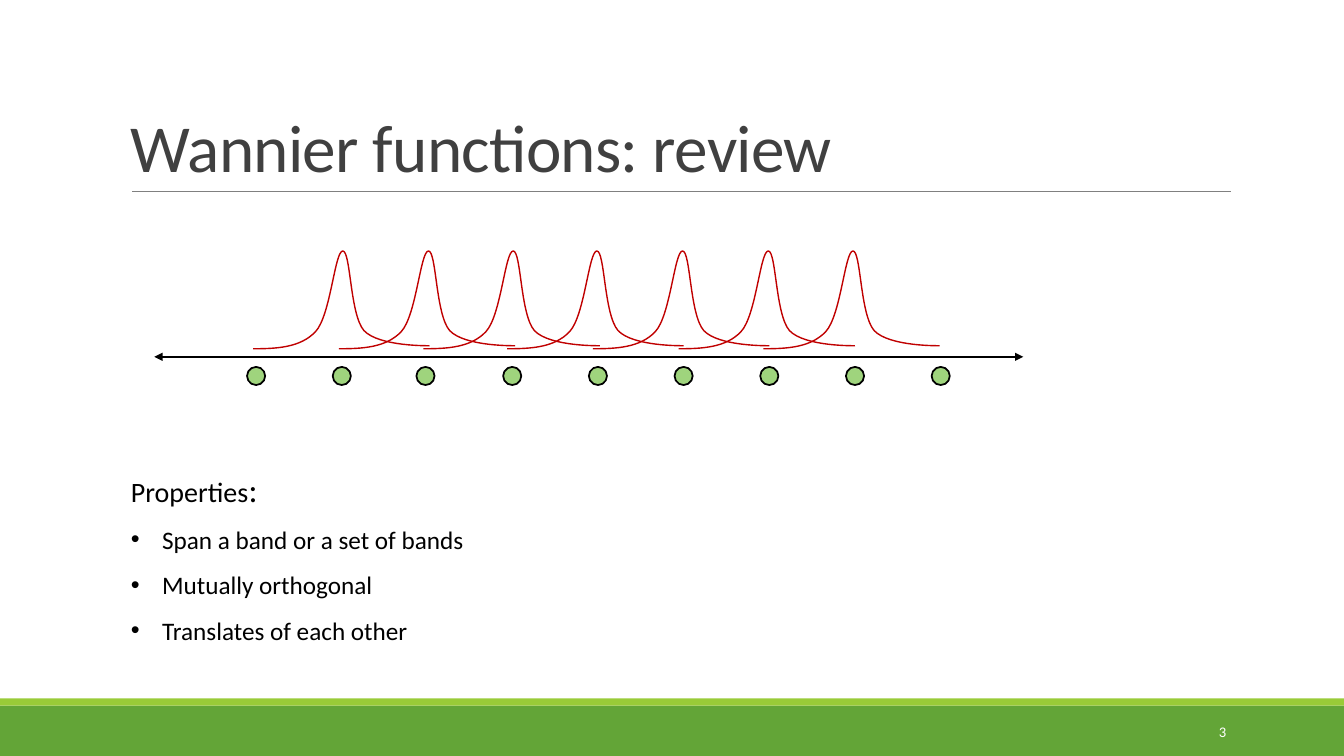
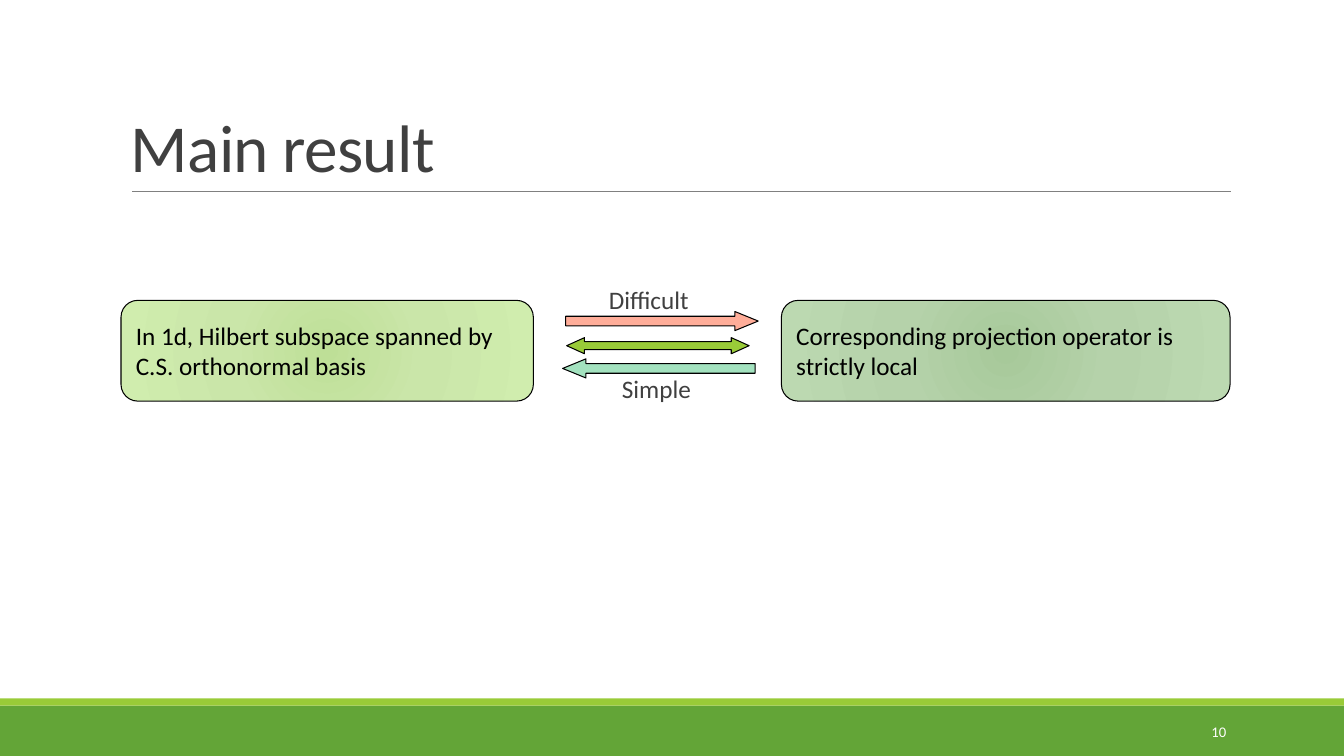
"""Build two slides on Wannier functions and strictly local projectors."""
import dataclasses

import lxml.etree
import pptx
import pptx.dml.color
import pptx.enum.shapes
import pptx.enum.text
import pptx.oxml.ns
import pptx.util

Inches = pptx.util.Inches
Pt = pptx.util.Pt
RGBColor = pptx.dml.color.RGBColor
SHAPE = pptx.enum.shapes.MSO_SHAPE
ANCHOR = pptx.enum.text.MSO_ANCHOR
ALIGN = pptx.enum.text.PP_ALIGN
qn = pptx.oxml.ns.qn

FONT = "Calibri"
BLACK = RGBColor(0x00, 0x00, 0x00)
WHITE = RGBColor(0xFF, 0xFF, 0xFF)
CHARCOAL = RGBColor(0x40, 0x40, 0x40)
GRAY = RGBColor(0x80, 0x80, 0x80)
GREEN = RGBColor(0x63, 0xA5, 0x37)
LIME = RGBColor(0x99, 0xCB, 0x38)
SITE_GREEN = RGBColor(0x9F, 0xD4, 0x7D)
CURVE_RED = RGBColor(0xC0, 0x00, 0x00)
ARROW_RED = RGBColor(0xFF, 0x33, 0x00)
ARROW_GREEN = RGBColor(0x00, 0xB0, 0x50)
BASIS_STOPS = {0: RGBColor(0xBE, 0xDF, 0x97), 45: RGBColor(0xCA, 0xE6, 0xA9),
               100: RGBColor(0xD0, 0xED, 0xAE)}
PROJECTOR_STOPS = {0: RGBColor(0xA7, 0xC9, 0x9A), 45: RGBColor(0xB5, 0xD2, 0xAA),
                   100: RGBColor(0xBC, 0xD9, 0xB1)}

SITE_OFFSETS = (0.92, 1.77, 2.6, 3.46, 4.31, 5.16, 6.01, 6.86, 7.71)
WANNIER_OFFSETS = (0.98, 1.83, 2.67, 3.5, 4.35, 5.2, 6.04)
WANNIER_POINTS = [
    (0, 0.97),
    (0.23, 0.97), (0.47, 0.96), (0.62, 0.8),
    (0.77, 0.64), (0.81, 0), (0.89, 0),
    (0.97, 0), (0.96, 0.63), (1.1, 0.79),
    (1.25, 0.95), (1.75, 0.94), (1.75, 0.94),
]


@dataclasses.dataclass
class Box:
    """A rectangle in inches."""
    left: float
    top: float
    width: float
    height: float

    def lengths(self):
        """Return left, top, width and height as lengths."""
        return [Inches(value) for value in dataclasses.astuple(self)]

    def inner(self, left, top, width, height):
        """Return a box placed relative to this one."""
        return Box(self.left + left, self.top + top, width, height)


def set_values(target, values):
    """Set each named attribute of the target."""
    for name, value in values.items():
        setattr(target, name, value)


def add_child(parent, tag, **attributes):
    """Append a drawing element with attributes."""
    child = lxml.etree.SubElement(parent, qn(tag))
    for name, value in attributes.items():
        child.set(name, str(value))
    return child


def write(para, text, size, color):
    """Add one run of text to a paragraph."""
    span = para.add_run()
    span.text = text
    set_values(span.font, {"name": FONT, "size": Pt(size)})
    span.font.color.rgb = color


def add_text(page, box, text, size, color, anchor=ANCHOR.TOP, **para_values):
    """Add a wrapping text box with one paragraph."""
    label = page.shapes.add_textbox(*box.lengths())
    set_values(label.text_frame, {"word_wrap": True, "vertical_anchor": anchor})
    para = label.text_frame.paragraphs[0]
    set_values(para, para_values)
    write(para, text, size, color)
    return label


def set_outline(line, color, width):
    """Give a line its colour and width in points."""
    line.color.rgb = color
    line.width = Pt(width)


def add_block(page, kind, box, fill, line_width=None, adjustments=()):
    """Add a filled preset shape, outlined in black when a width is given."""
    block = page.shapes.add_shape(kind, *box.lengths())
    block.shadow.inherit = False
    block.fill.solid()
    block.fill.fore_color.rgb = fill
    if line_width:
        set_outline(block.line, BLACK, line_width)
    else:
        block.line.fill.background()
    for index, value in enumerate(adjustments):
        block.adjustments[index] = value
    return block


def add_rule(page, left, right, top, color, width, arrows=False):
    """Add a horizontal line, with arrowheads at both ends if asked."""
    rule = page.shapes.add_connector(
        pptx.enum.shapes.MSO_CONNECTOR.STRAIGHT,
        Inches(left), Inches(top), Inches(right), Inches(top))
    set_outline(rule.line, color, width)
    if arrows:
        outline = rule.element.spPr.find(qn("a:ln"))
        for end in ("a:headEnd", "a:tailEnd"):
            add_child(outline, end, type="triangle")
    add_child(rule.element.spPr, "a:effectLst")


def add_frame(deck, title, number):
    """Add a page with the shared bands, title, rule and number."""
    page = deck.slides.add_slide(deck.slide_layouts[6])
    add_block(page, SHAPE.RECTANGLE, Box(0, 7, 13.33, 0.5), GREEN)
    add_block(page, SHAPE.RECTANGLE, Box(0, 6.93, 13.33, 0.07), LIME)
    add_rule(page, 1.31, 12.21, 1.9, GRAY, 0.5)
    heading = add_text(page, Box(1.2, 0.31, 11, 1.59), title, 48, CHARCOAL,
                       ANCHOR.BOTTOM, line_spacing=0.85)
    for properties in heading.element.iter(qn("a:rPr")):
        properties.set("spc", "-50")
    add_text(page, Box(10.83, 7.06, 1.43, 0.4), str(number), 10.5, WHITE,
             ANCHOR.MIDDLE, alignment=ALIGN.RIGHT)
    return page


def add_wannier(page, left, top):
    """Add one localized function as a chain of cubic curves."""
    points = [(Inches(left + x), Inches(top + y)) for x, y in WANNIER_POINTS]
    builder = page.shapes.build_freeform(*points[0])
    builder.add_line_segments(points[1:], close=False)
    curve = builder.convert_to_shape()
    curve.shadow.inherit = False
    curve.fill.background()
    set_outline(curve.line, CURVE_RED, 1)
    segments = list(curve.element.iter(qn("a:lnTo")))
    outline = segments[0].getparent()
    for start in range(0, len(segments), 3):
        cubic = add_child(outline, "a:cubicBezTo")
        for segment in segments[start:start + 3]:
            cubic.append(segment[0])
            outline.remove(segment)


def add_lattice(page, box):
    """Add the lattice sites, their functions and the axis."""
    for offset in SITE_OFFSETS:
        add_block(page, SHAPE.OVAL, box.inner(offset, 1.15, 0.18, 0.18), SITE_GREEN, 1.25)
    for offset in WANNIER_OFFSETS:
        add_wannier(page, box.left + offset, box.top)
    add_rule(page, box.left, box.left + box.width, box.top + 1.05, BLACK, 1, arrows=True)


def add_properties(page, box, items):
    """Add the list of properties with its heading."""
    listing = add_text(page, box, "Properties", 20, BLACK, line_spacing=1.5)
    frame = listing.text_frame
    write(frame.paragraphs[0], ":", 24, BLACK)
    for item in items:
        para = frame.add_paragraph()
        para.line_spacing = 1.5
        write(para, item, 18, BLACK)
    for properties in list(listing.element.iter(qn("a:pPr")))[1:]:
        for name, value in {"marL": Inches(0.31), "indent": -Inches(0.31)}.items():
            properties.set(name, str(value))
        add_child(properties, "a:buFont", typeface="Arial")
        add_child(properties, "a:buChar", char="•")


def add_statement(page, box, text, stops):
    """Add a rounded box with a radial gradient and a statement."""
    panel = add_block(page, SHAPE.ROUNDED_RECTANGLE, box, stops[0], 0.75)
    solid = panel.element.spPr.find(qn("a:solidFill"))
    gradient = lxml.etree.Element(qn("a:gradFill"), rotWithShape="1")
    stop_list = add_child(gradient, "a:gsLst")
    for position, color in stops.items():
        stop = add_child(stop_list, "a:gs", pos=position * 1000)
        add_child(stop, "a:srgbClr", val=color)
    circle = add_child(gradient, "a:path", path="circle")
    add_child(circle, "a:fillToRect", l=100000, t=100000, r=100000, b=100000)
    panel.element.spPr.replace(solid, gradient)
    set_values(panel.text_frame, {"word_wrap": True, "vertical_anchor": ANCHOR.MIDDLE})
    para = panel.text_frame.paragraphs[0]
    para.alignment = ALIGN.LEFT
    write(para, text, 18, BLACK)


def add_direction(page, box, color, opacity, rotation):
    """Add a translucent upward arrow turned to one side."""
    arrow = add_block(page, SHAPE.UP_ARROW, box, color, 0.75, (0.5, 1.221))
    arrow.rotation = rotation
    tint = arrow.element.spPr.find(qn("a:solidFill")).find(qn("a:srgbClr"))
    add_child(tint, "a:alpha", val=opacity * 1000)


def add_implications(page, box):
    """Add the three arrows and the labels of both directions."""
    add_block(page, SHAPE.LEFT_RIGHT_ARROW, box.inner(0.04, 0.58, 1.81, 0.16),
              LIME, 0.75, (0.5, 1.108))
    add_direction(page, box.inner(0.89, -0.54, 0.19, 1.91), ARROW_RED, 40, 90)
    add_direction(page, box.inner(0.86, -0.07, 0.19, 1.91), ARROW_GREEN, 36, 270)
    add_text(page, box.inner(0.49, 0.88, 1.2, 0.4), "Simple", 18, CHARCOAL)
    add_text(page, box.inner(0.36, 0, 1.2, 0.4), "Difficult", 18, CHARCOAL)


def build_review(deck):
    """Build the review of Wannier functions."""
    page = add_frame(deck, "Wannier functions: review", 3)
    add_lattice(page, Box(1.53, 2.49, 8.62, 1.33))
    add_properties(page, Box(1.2, 4.4, 11, 2.02), [
        "Span a band or a set of bands", "Mutually orthogonal", "Translates of each other"])


def build_result(deck):
    """Build the statement of the main result."""
    page = add_frame(deck, "Main result", 10)
    add_statement(page, Box(1.2, 2.98, 4.09, 1),
                  "In 1d, Hilbert subspace spanned by C.S. orthonormal basis", BASIS_STOPS)
    add_statement(page, Box(7.75, 2.98, 4.45, 1),
                  "Corresponding projection operator is strictly local", PROJECTOR_STOPS)
    add_implications(page, Box(5.58, 2.77, 1.94, 1.28))


def main():
    """Build and save the deck."""
    deck = pptx.Presentation()
    set_values(deck, {"slide_width": Inches(13.33), "slide_height": Inches(7.5)})
    build_review(deck)
    build_result(deck)
    deck.save("out.pptx")


if __name__ == "__main__":
    main()
